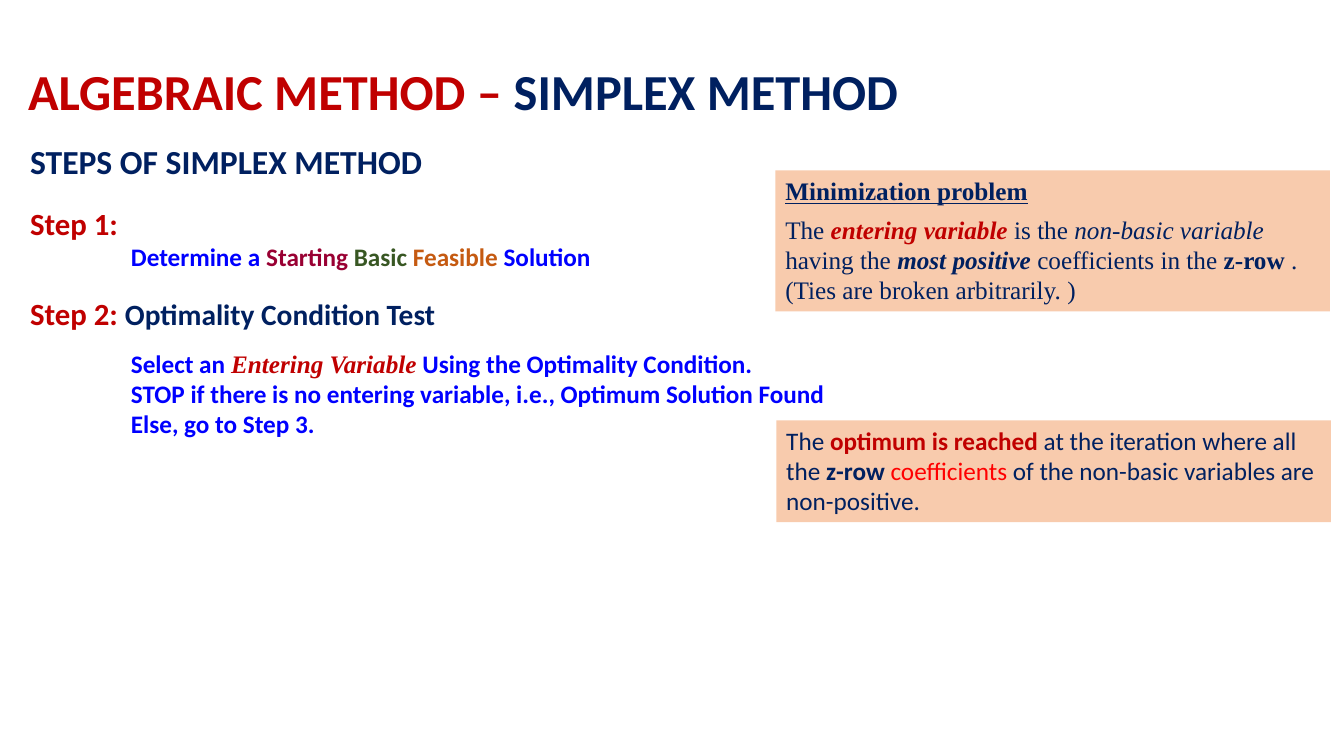
from pptx import Presentation
from pptx.dml.color import RGBColor
from pptx.enum.shapes import MSO_SHAPE
from pptx.enum.text import MSO_ANCHOR, MSO_AUTO_SIZE, PP_ALIGN
from pptx.util import Emu, Pt

PX = 9144  # 100 px to the inch
COLORS = {
    "navy": "002060", "red": "C00000", "blue": "0000FF", "wine": "990033",
    "green": "385723", "orange": "C55A11", "bright": "FF0000", "peach": "F8CBAD",
}
SERIF = "Times New Roman"


def color(name):
    return RGBColor.from_string(COLORS[name])


def words(text, tint="navy", **style):
    """One run: its text, its colour and any of size, font, bold, italic, underline."""
    return text, tint, style


class SlideBuilder:
    def __init__(self, slide, font="Calibri", size=18):
        self.slide, self.font, self.size = slide, font, size

    def place(self, shape, box):
        shape.left, shape.top, shape.width, shape.height = (Emu(n * PX) for n in box)

    def fill_text(self, frame, paragraphs, **defaults):
        """Each paragraph is (indent px, space before pt, runs)."""
        frame.word_wrap = True
        for number, (indent, before, runs) in enumerate(paragraphs):
            line = frame.add_paragraph() if number else frame.paragraphs[0]
            line.alignment = PP_ALIGN.LEFT
            line.space_before = Pt(before)
            if indent:
                properties = line._p.get_or_add_pPr()
                properties.set("marL", str(indent * PX))
                properties.set("indent", "0")
            for text, tint, own in runs:
                style = {**defaults, **own}
                run = line.add_run()
                run.text = text
                run.font.name = style.get("font", self.font)
                run.font.size = Pt(style.get("size", self.size))
                run.font.bold = style.get("bold", False)
                run.font.italic = style.get("italic", False)
                run.font.underline = style.get("underline", False)
                run.font.color.rgb = color(tint)

    def title(self, box, runs):
        title = self.slide.shapes.title
        self.place(title, box)
        frame = title.text_frame
        frame.auto_size = MSO_AUTO_SIZE.NONE
        frame.vertical_anchor = MSO_ANCHOR.BOTTOM
        self.fill_text(frame, [(0, 0, runs)], size=36, bold=True)
        frame.paragraphs[0].line_spacing = 0.9

    def text(self, box, paragraphs):
        label = self.slide.shapes.add_textbox(*(Emu(n * PX) for n in box))
        self.fill_text(label.text_frame, paragraphs, bold=True)

    def note(self, box, paragraphs, **defaults):
        note = self.slide.shapes.add_shape(
            MSO_SHAPE.RECTANGLE, *(Emu(n * PX) for n in box))
        note.shadow.inherit = False
        note.fill.solid()
        note.fill.fore_color.rgb = color("peach")
        note.line.fill.background()
        note.text_frame.vertical_anchor = MSO_ANCHOR.TOP
        self.fill_text(note.text_frame, paragraphs, **defaults)


def main():
    deck = Presentation()
    deck.slide_width, deck.slide_height = Emu(1333 * PX), Emu(750 * PX)
    page = SlideBuilder(deck.slides.add_slide(deck.slide_layouts[5]))
    step_indent = 100

    # Title and heading
    page.title((18, 55, 1117, 70), [
        words("ALGEBRAIC METHOD – ", "red"), words("SIMPLEX METHOD")])
    page.text((20, 135, 1271, 50), [
        (0, 0, [words("STEPS OF SIMPLEX METHOD", size=24)])])

    # Steps
    page.text((20, 198, 613, 77), [
        (0, 0, [words("Step 1:", "red", size=22)]),
        (step_indent, 0, [
            words("Determine a ", "blue"), words("Starting ", "wine"),
            words("Basic ", "green"), words("Feasible", "orange"),
            words(" Solution", "blue")]),
    ])
    page.text((20, 287, 819, 185), [
        (0, 0, [words("Step 2: ", "red", size=22),
                words("Optimality Condition Test", size=21)]),
        (step_indent, 12, [
            words("Select an ", "blue"),
            words("Entering Variable", "red", font=SERIF, italic=True),
            words(" Using the Optimality Condition.", "blue")]),
        (step_indent, 0, [words(
            "STOP if there is no entering variable, i.e., Optimum Solution Found",
            "blue")]),
        (step_indent, 0, [words("Else, go to Step 3.", "blue")]),
    ])

    # Notes on the optimality condition
    page.note((769, 169, 550, 140), [
        (0, 0, [words("Minimization problem", bold=True, underline=True)]),
        (0, 6, [
            words("The "),
            words("entering variable", "red", bold=True, italic=True),
            words(" is the "), words("non-basic variable ", italic=True),
            words("having the "), words("most positive ", bold=True, italic=True),
            words("coefficients in the "), words("z-row", bold=True), words(" .")]),
        (0, 0, [words("(Ties are broken arbitrarily. )")]),
    ], font=SERIF)
    page.note((770, 417, 550, 101), [
        (0, 0, [
            words("The "), words("optimum is reached", "red", bold=True),
            words(" at the iteration where all the "), words("z-row ", bold=True),
            words("coefficients", "bright"),
            words(" of the non-basic variables are non-positive.")]),
    ])

    deck.save("out.pptx")


if __name__ == "__main__":
    main()
